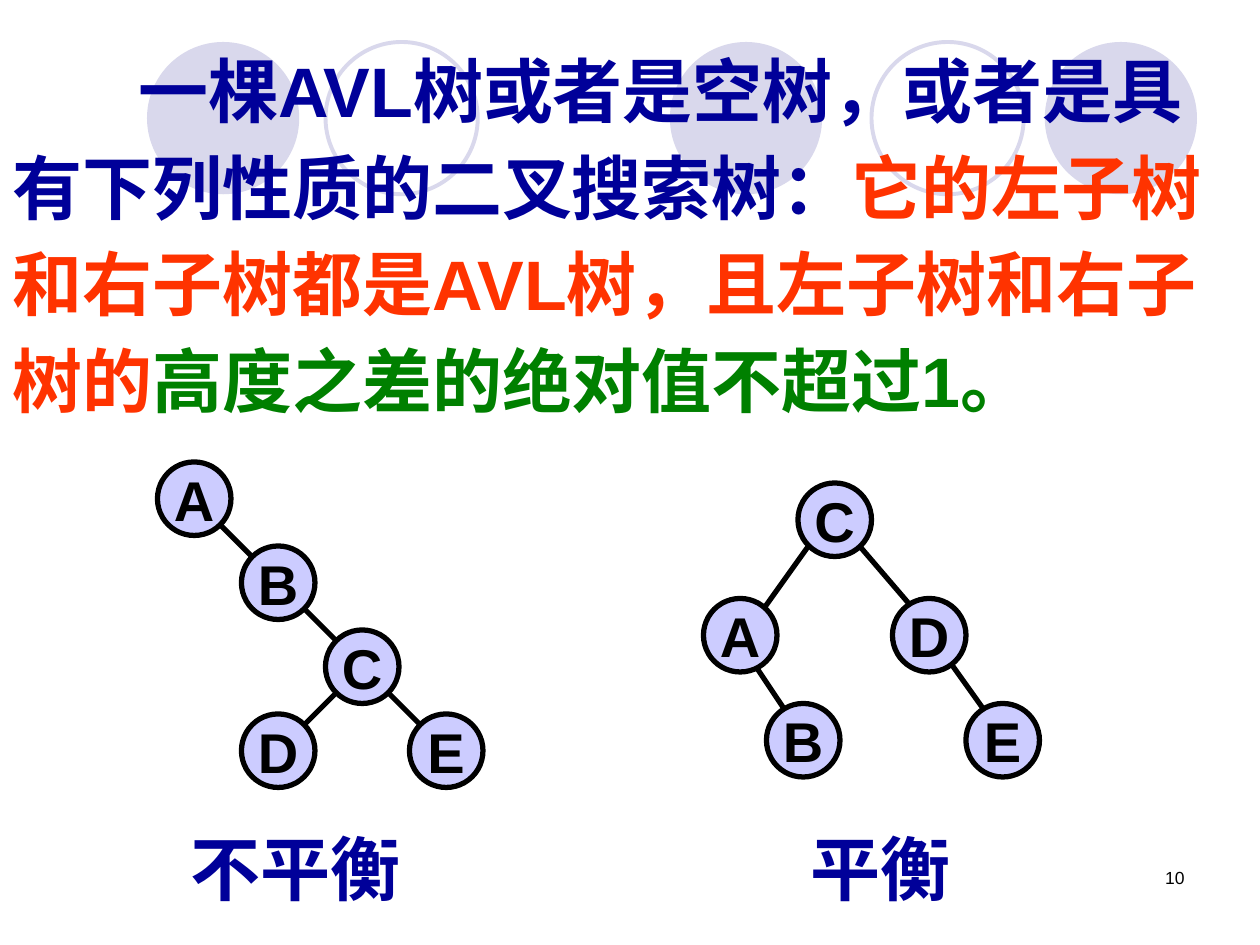
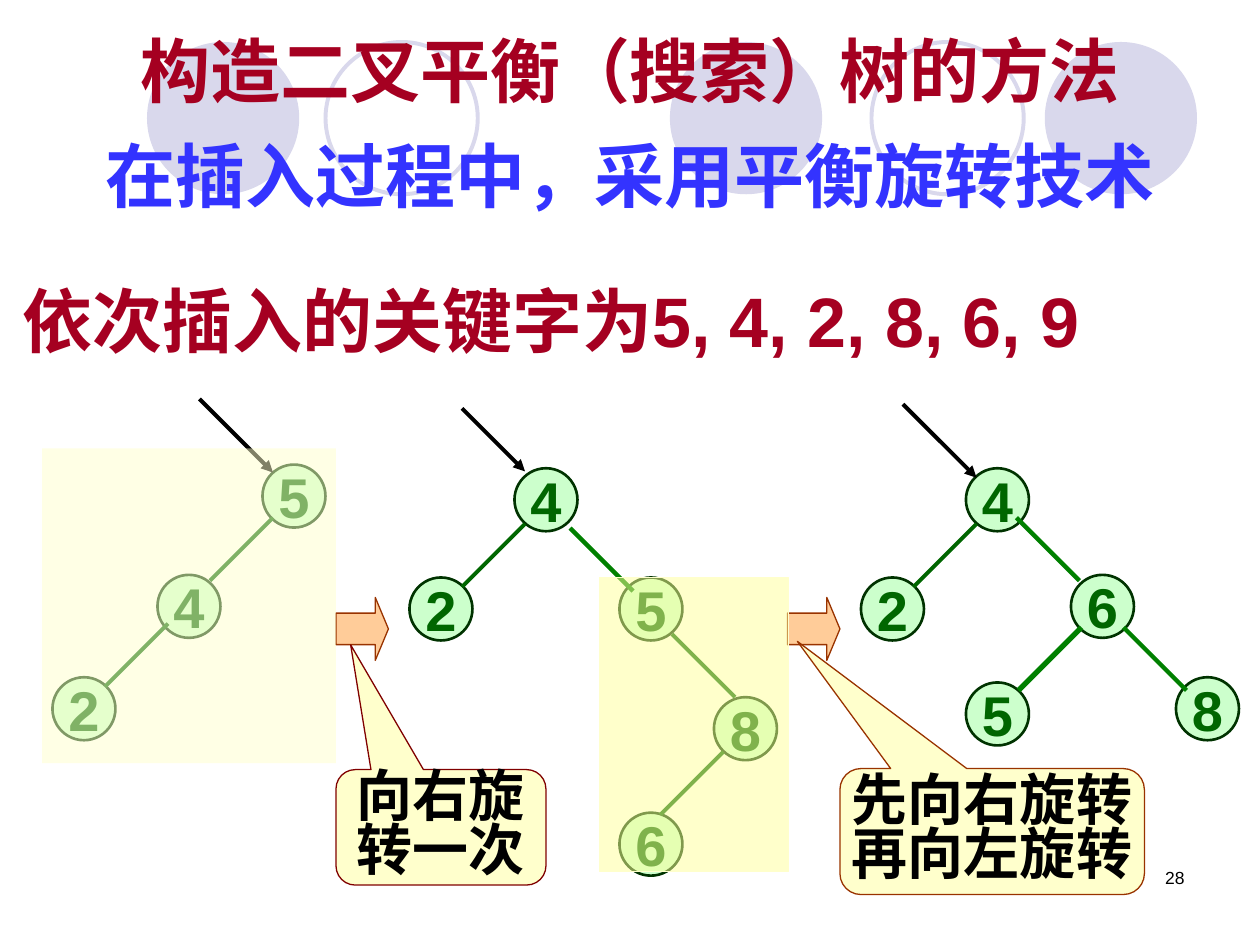
from lxml import etree
from pptx import Presentation
from pptx.dml.color import RGBColor
from pptx.enum.shapes import MSO_CONNECTOR, MSO_SHAPE
from pptx.enum.text import MSO_ANCHOR, MSO_AUTO_SIZE, PP_ALIGN
from pptx.oxml.ns import qn
from pptx.util import Inches, Pt

OVAL = MSO_SHAPE.OVAL
RECT = MSO_SHAPE.RECTANGLE
ARROW = MSO_SHAPE.RIGHT_ARROW
BUBBLE = MSO_SHAPE.ROUNDED_RECTANGULAR_CALLOUT
STRAIGHT = MSO_CONNECTOR.STRAIGHT
TOP, MIDDLE = MSO_ANCHOR.TOP, MSO_ANCHOR.MIDDLE
FIXED = MSO_AUTO_SIZE.NONE
LEFT, CENTER, RIGHT = PP_ALIGN.LEFT, PP_ALIGN.CENTER, PP_ALIGN.RIGHT

BLACK = RGBColor(0x00, 0x00, 0x00)
MIST = RGBColor(0xD9, 0xD8, 0xEC)
LILAC = RGBColor(0xCC, 0xCC, 0xFF)
NAVY = RGBColor(0x00, 0x00, 0x99)
BLUE = RGBColor(0x33, 0x33, 0xFF)
RED = RGBColor(0xFF, 0x33, 0x00)
WINE = RGBColor(0xA5, 0x00, 0x21)
MAROON = RGBColor(0x80, 0x00, 0x00)
GREEN = RGBColor(0x00, 0x80, 0x00)
MOSS = RGBColor(0x00, 0x66, 0x00)
PINE = RGBColor(0x00, 0x33, 0x00)
MINT = RGBColor(0xCC, 0xFF, 0xCC)
PEACH = RGBColor(0xFF, 0xCC, 0x99)
RUST = RGBColor(0x99, 0x33, 0x00)
CREAM = RGBColor(0xFF, 0xFF, 0xCC)
LEMON = RGBColor(0xFF, 0xFF, 0x99)

LATIN, HAN = "Arial", "Noto Sans CJK SC"
TITLE, LABEL = "title", "label"

deck = Presentation()
deck.slide_width, deck.slide_height = Inches(10), Inches(7.5)
CELL = deck.slide_width // 120


def draw(page, kind, box, paras=(), fill=None, edge=None, width=0.75,
         size=40, bold=True, align=LEFT, space=1.0):
    x, y, w, h = [round(n * CELL) for n in box]
    if kind == TITLE:
        item = page.shapes.title
        item.left, item.top, item.width, item.height = x, y, w, h
    elif kind == LABEL:
        item = page.shapes.add_textbox(x, y, w, h)
    else:
        item = page.shapes.add_shape(kind, x, y, w, h)
        item.shadow.inherit = False
        if fill is None:
            item.fill.background()
        else:
            item.fill.solid()
            item.fill.fore_color.rgb = fill
        if edge is None:
            item.line.fill.background()
        else:
            item.line.color.rgb = edge
            item.line.width = Pt(width)
    if paras:
        frame = item.text_frame
        frame.auto_size = FIXED
        frame.word_wrap = kind in (TITLE, LABEL)
        frame.vertical_anchor = TOP if frame.word_wrap else MIDDLE
        for i, parts in enumerate(paras):
            para = frame.add_paragraph() if i else frame.paragraphs[0]
            para.alignment = align
            para.line_spacing = space
            for text, color in parts:
                run = para.add_run()
                run.text = text
                run.font.name = LATIN
                run.font.size = Pt(size)
                run.font.bold = bold
                run.font.color.rgb = color
                east = etree.SubElement(run.font._element, qn("a:ea"))
                east.set("typeface", HAN)
    return item


def link(page, ends, color, width, head=False):
    wire = page.shapes.add_connector(STRAIGHT, *[round(n * CELL) for n in ends])
    wire.line.color.rgb = color
    wire.line.width = Pt(width)
    if head:
        tip = etree.SubElement(wire.line._get_or_add_ln(), qn("a:tailEnd"))
        tip.set("type", "triangle")
    etree.SubElement(wire._element.spPr, qn("a:effectLst"))


plain = deck.slide_layouts[5]
first, second = [deck.slides.add_slide(plain) for _ in range(2)]

# Decorative discs live on the master, behind both slides.
tree = deck.slide_master.shapes._spTree
for x, full in ((63.8, True), (99.5, True), (14, True), (83, False), (31, False)):
    disc = draw(first, OVAL, (x, 4, 14.5, 14.5), fill=MIST if full else None,
                edge=None if full else MIST, width=2.25)
    tree.insert(2, disc._element)

lead = draw(first, TITLE, (0, 2.75, 120, 38), [[
    ("一棵AVL树或者是空树，或者是具有下列性质的二叉搜索树：", NAVY),
    ("它的左子树和右子树都是AVL树，且左子树和右子树的", RED),
    ("高度之差的绝对值不超过1。", GREEN)]], space=1.15)
lead.text_frame.paragraphs[0]._p.get_or_add_pPr().set("indent", str(12 * CELL))

for ends in ((35, 64, 41, 70), (27, 56, 33, 62), (19, 48, 25, 54), (33, 65, 27, 71),
             (71, 62, 75, 68), (89, 61, 94, 68), (81, 51, 87, 58), (77, 52, 72, 59)):
    link(first, ends, BLACK, 3)
for key, x, y in (("A", 15, 44), ("B", 23, 52), ("C", 31, 60), ("D", 23, 68), ("E", 39, 68),
                  ("A", 67, 57), ("B", 73, 67), ("C", 76, 46), ("D", 85, 57), ("E", 92, 67)):
    draw(first, OVAL, (x, y, 7, 7), [[(key, BLACK)]], LILAC, BLACK, 3, 32, align=CENTER)
for text, x in (("不平衡", 17), ("平衡", 76)):
    draw(first, LABEL, (x, 78, 24, 9.2), [[(text, NAVY)]])

draw(second, TITLE, (0, 0, 120, 21.2), [
    [("构造二叉平衡（搜索）树的方法", WINE)],
    [("在插入过程中，采用平衡旋转技术", BLUE)]], align=CENTER, space=1.25)
draw(second, LABEL, (1, 25.8, 107, 9.2), [[("依次插入的关键字为5, 4, 2, 8, 6, 9", WINE)]])

for key, x, y in (("5", 25, 44.25), ("4", 15, 54.75), ("2", 5, 64.5),
                  ("4", 49, 44.6), ("2", 39, 55), ("5", 59, 55),
                  ("8", 68, 66.4), ("6", 59, 77.4),
                  ("4", 92, 44.6), ("2", 82, 55), ("6", 102, 54.75),
                  ("5", 92, 65), ("8", 112, 64.5)):
    draw(second, OVAL, (x, y, 6, 6), [[(key, MOSS)]], MINT, PINE, 1.5, 32, align=CENTER)
for x, y, run, color, width in (
        (26, 49.3, -6, MOSS, 2.25), (16, 59.4, -6, MOSS, 2.25),
        (50, 49.9, -6, MOSS, 2.25), (54.3, 50.3, 6, GREEN, 2.5),
        (64, 60.4, 6, MOSS, 2.25), (68.9, 71.6, -6, MOSS, 2.25),
        (96.8, 49.3, 6, GREEN, 2.5), (103, 59.75, -6, GREEN, 3),
        (107, 59.75, 6, GREEN, 2.5), (93, 49.9, -6, MOSS, 2.25)):
    link(second, (x, y, x + run, y + 6), color, width)
for x, y, reach in ((19, 38, 7), (44, 38.9, 6), (86, 38.5, 7)):
    link(second, (x, y, x + reach, y + reach), BLACK, 2.25, True)

for x in (32, 75):
    turn = draw(second, ARROW, (x, 56.9, 5, 6), fill=PEACH, edge=RUST)
    turn.adjustments[0], turn.adjustments[1] = 0.5, 0.25
for box, edge, tip, rows in (
        ((32, 73.3, 20, 11), MAROON, (-0.43, -1.58), ("向右旋", "转一次")),
        ((80, 73.2, 29, 12), RUST, (-0.64, -1.51), ("先向右旋转", "再向左旋转"))):
    note = draw(second, BUBBLE, box, [[(row, BLACK)] for row in rows], CREAM, edge,
                size=32, align=CENTER, space=0.8)
    note.adjustments[0], note.adjustments[1] = tip
for box, fill, edge in (((57.1, 55, 18, 28), LEMON, CREAM), ((4, 42.7, 28, 30), CREAM, None)):
    veil = draw(second, RECT, box, fill=fill, edge=edge)
    tint = veil._element.spPr.find(qn("a:solidFill"))[0]
    etree.SubElement(tint, qn("a:alpha")).set("val", "50000")

for page, count in ((first, "10"), (second, "28")):
    draw(page, LABEL, (86, 82, 28, 6), [[(count, BLACK)]], size=10, bold=False, align=RIGHT)

deck.save("out.pptx")
